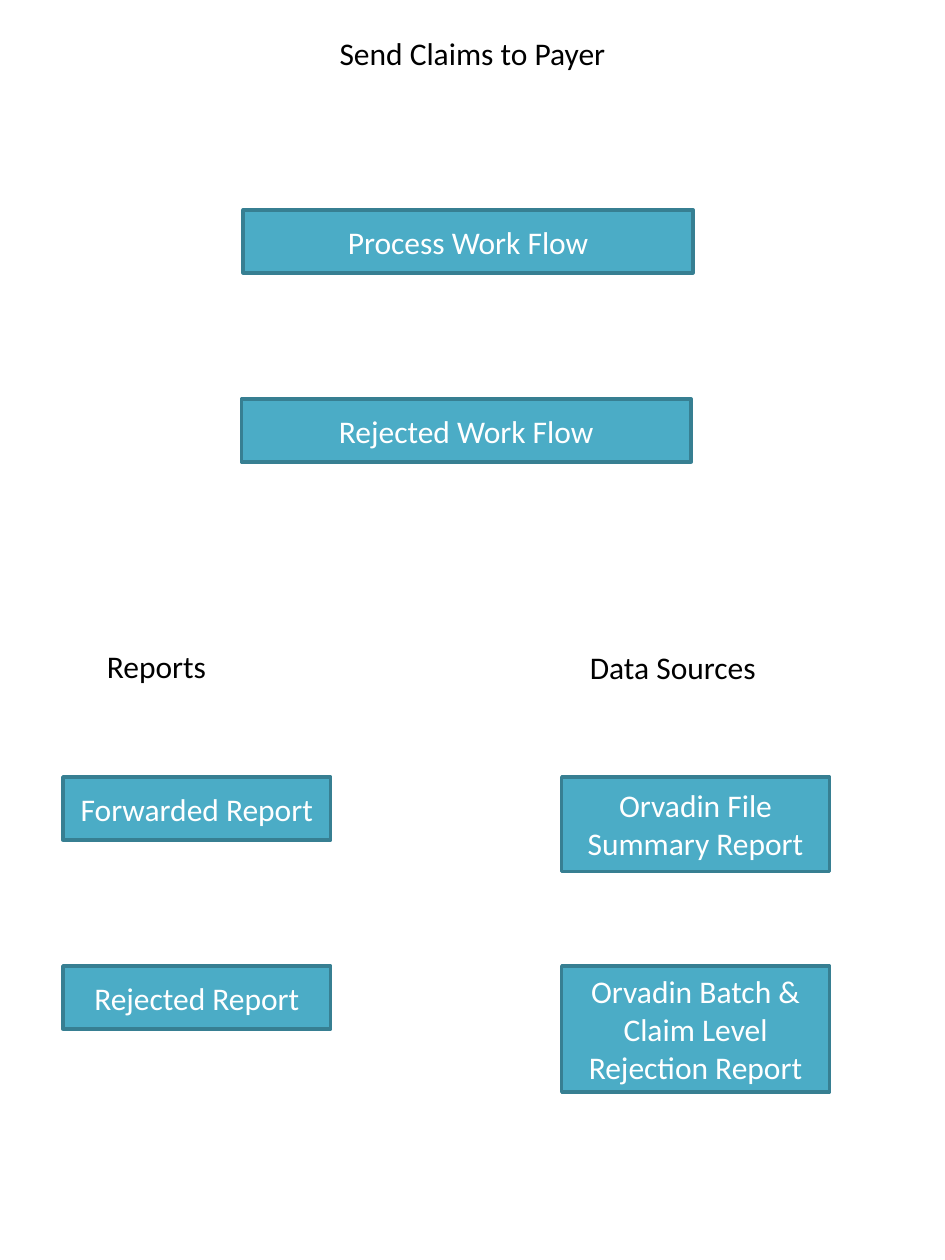
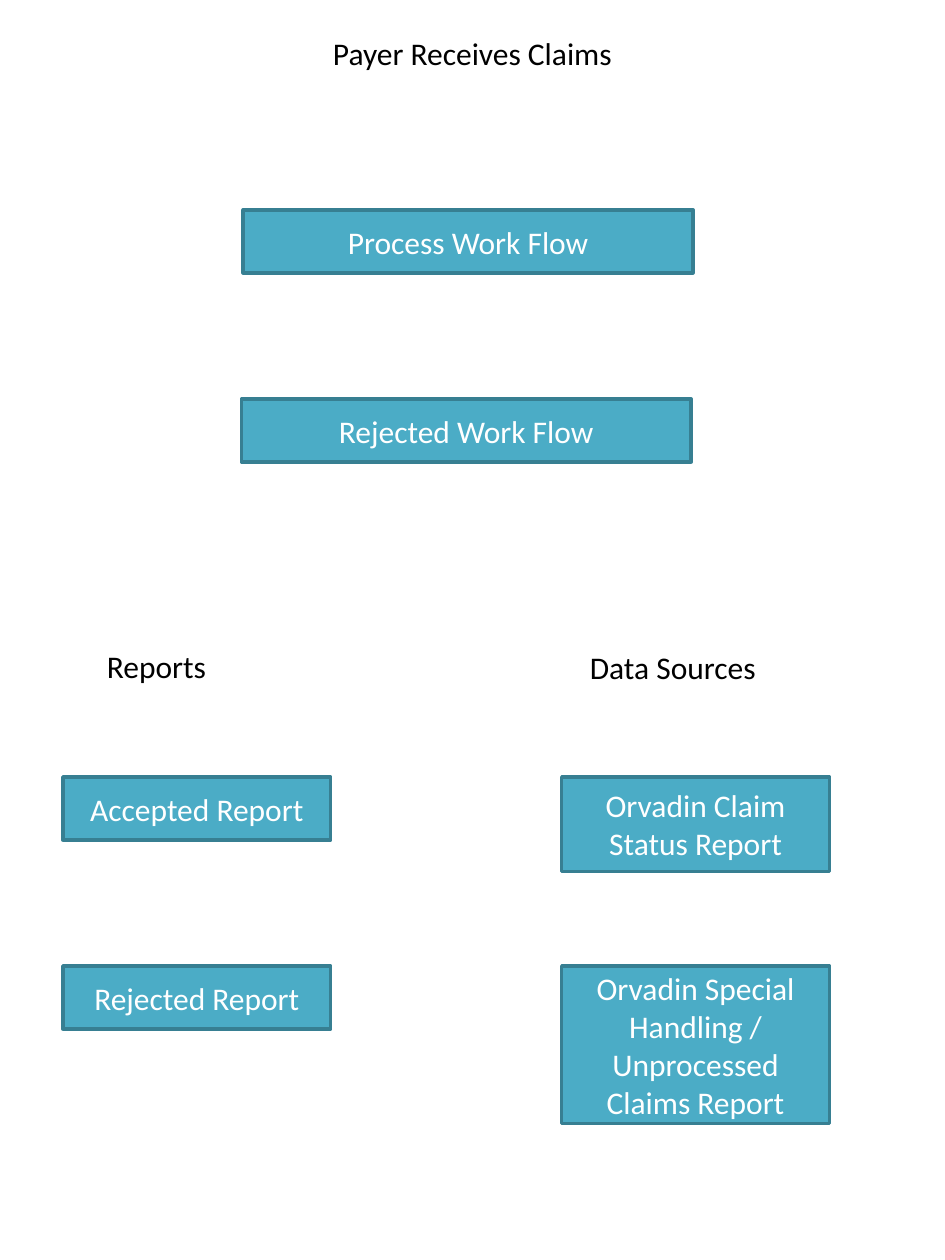
"""Build two claim-tracking slides: work flows above, reports and data sources below."""
import pptx
import pptx.dml.color
import pptx.enum.shapes
import pptx.enum.text
import pptx.util

Pt = pptx.util.Pt
RGBColor = pptx.dml.color.RGBColor
ALIGN = pptx.enum.text.PP_ALIGN
ANCHOR = pptx.enum.text.MSO_ANCHOR

BLACK = RGBColor(0x00, 0x00, 0x00)
WHITE = RGBColor(0xFF, 0xFF, 0xFF)
TEAL = RGBColor(0x4B, 0xAC, 0xC6)
DARK_TEAL = RGBColor(0x37, 0x7F, 0x92)
FONT = "Calibri"
FONT_SIZE = 18

# All lengths are in points.
SLIDE_WIDTH, SLIDE_HEIGHT = 540, 720
TITLE_BOX = (0, 15.9, SLIDE_WIDTH, 29)
ROW_PITCH = 108
BOX_HEIGHT = 36
LINE_STEP = 18
HEADING_HEIGHT = 29
WORK_FLOWS = ("Process Work Flow", "Rejected Work Flow")
WORK_FLOW_SHIFT = -1
WORK_FLOW_REGION = (139, 120, 257)
REPORT_REGION = (36, 366, 153)
SOURCE_REGION = (321, 367, 153)
FIRST_BOX_TOP = 444

# Each data source comes with the number of text lines its box holds.
SLIDES = [
    {
        "title": "Send Claims to Payer",
        "reports": ["Forwarded Report", "Rejected Report"],
        "sources": [
            ("Orvadin File Summary Report", 2),
            ("Orvadin Batch & Claim Level Rejection Report", 3),
        ],
    },
    {
        "title": "Payer Receives Claims",
        "reports": ["Accepted Report", "Rejected Report"],
        "sources": [
            ("Orvadin Claim Status Report", 2),
            ("Orvadin Special Handling / Unprocessed Claims Report", 4),
        ],
    },
]


def write_text(shape, text, color=BLACK, align=ALIGN.LEFT, anchor=ANCHOR.TOP):
    """Write one formatted paragraph into a shape."""
    frame = shape.text_frame
    frame.word_wrap = True
    frame.auto_size = pptx.enum.text.MSO_AUTO_SIZE.NONE
    frame.vertical_anchor = anchor
    paragraph = frame.paragraphs[0]
    paragraph.alignment = align
    run = paragraph.add_run()
    run.text = text
    run.font.name = FONT
    run.font.size = Pt(FONT_SIZE)
    run.font.color.rgb = color


def add_title(slide, text, box):
    """Move the title placeholder to the box and fill it."""
    title = slide.shapes.title
    title.left, title.top, title.width, title.height = map(Pt, box)
    write_text(title, text, align=ALIGN.CENTER)


def add_box(slide, text, left, top, width, height=BOX_HEIGHT):
    """Add a teal rectangle with centred white text."""
    shape = slide.shapes.add_shape(
        pptx.enum.shapes.MSO_SHAPE.RECTANGLE,
        Pt(left), Pt(top), Pt(width), Pt(height))
    shape.shadow.inherit = False
    shape.fill.solid()
    shape.fill.fore_color.rgb = TEAL
    shape.line.color.rgb = DARK_TEAL
    shape.line.width = Pt(2)
    write_text(shape, text, color=WHITE, align=ALIGN.CENTER, anchor=ANCHOR.MIDDLE)


def add_work_flows(slide, labels, region):
    """Stack the work flow boxes down the region."""
    left, top, width = region
    for row, label in enumerate(labels):
        add_box(slide, label, left + row * WORK_FLOW_SHIFT,
                top + row * ROW_PITCH, width)


def add_column(slide, heading, items, region, indent):
    """Add an indented heading with a stack of (text, height) boxes below."""
    left, top, width = region
    label = slide.shapes.add_textbox(
        Pt(left + indent), Pt(top), Pt(width), Pt(HEADING_HEIGHT))
    write_text(label, heading)
    for row, (text, height) in enumerate(items):
        add_box(slide, text, left, FIRST_BOX_TOP + row * ROW_PITCH, width, height)


def add_claims_slide(presentation, content):
    """Add one slide with title, work flows, reports and data sources."""
    slide = presentation.slides.add_slide(
        presentation.slide_layouts.get_by_name("Title Only"))
    add_title(slide, content["title"], TITLE_BOX)
    add_work_flows(slide, WORK_FLOWS, WORK_FLOW_REGION)
    reports = [(text, BOX_HEIGHT) for text in content["reports"]]
    add_column(slide, "Reports", reports, REPORT_REGION, indent=18)
    sources = [(text, LINE_STEP * (lines + 1)) for text, lines in content["sources"]]
    add_column(slide, "Data Sources", sources, SOURCE_REGION, indent=9)


def main():
    """Build and save the presentation."""
    presentation = pptx.Presentation()
    presentation.slide_width = Pt(SLIDE_WIDTH)
    presentation.slide_height = Pt(SLIDE_HEIGHT)
    for content in SLIDES:
        add_claims_slide(presentation, content)
    presentation.save("out.pptx")


main()
